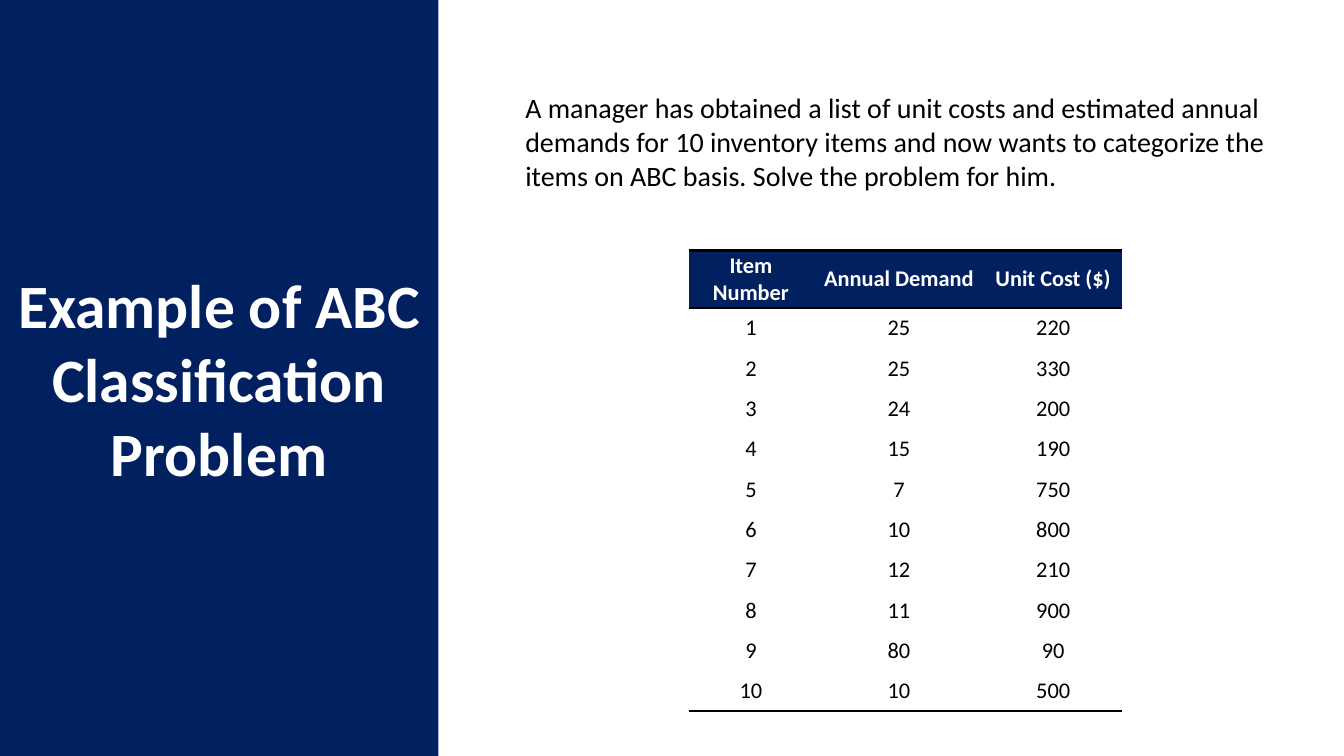
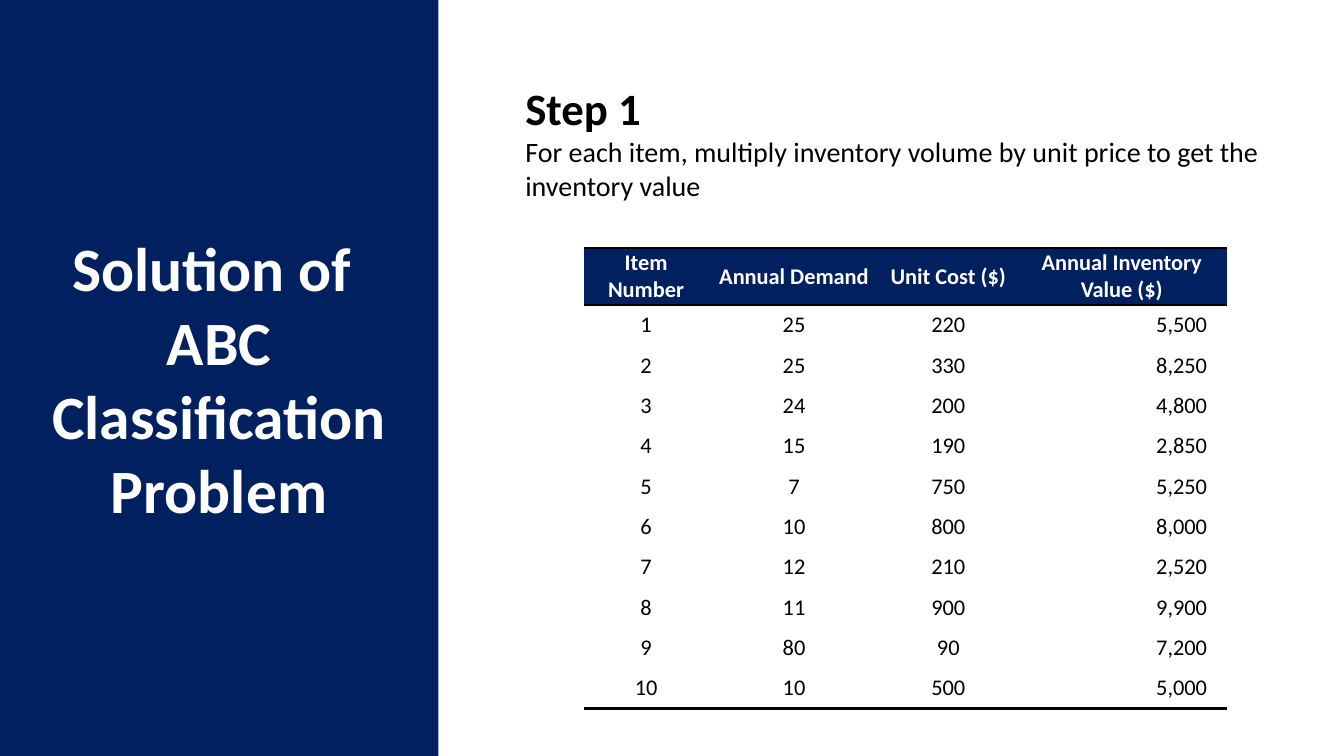
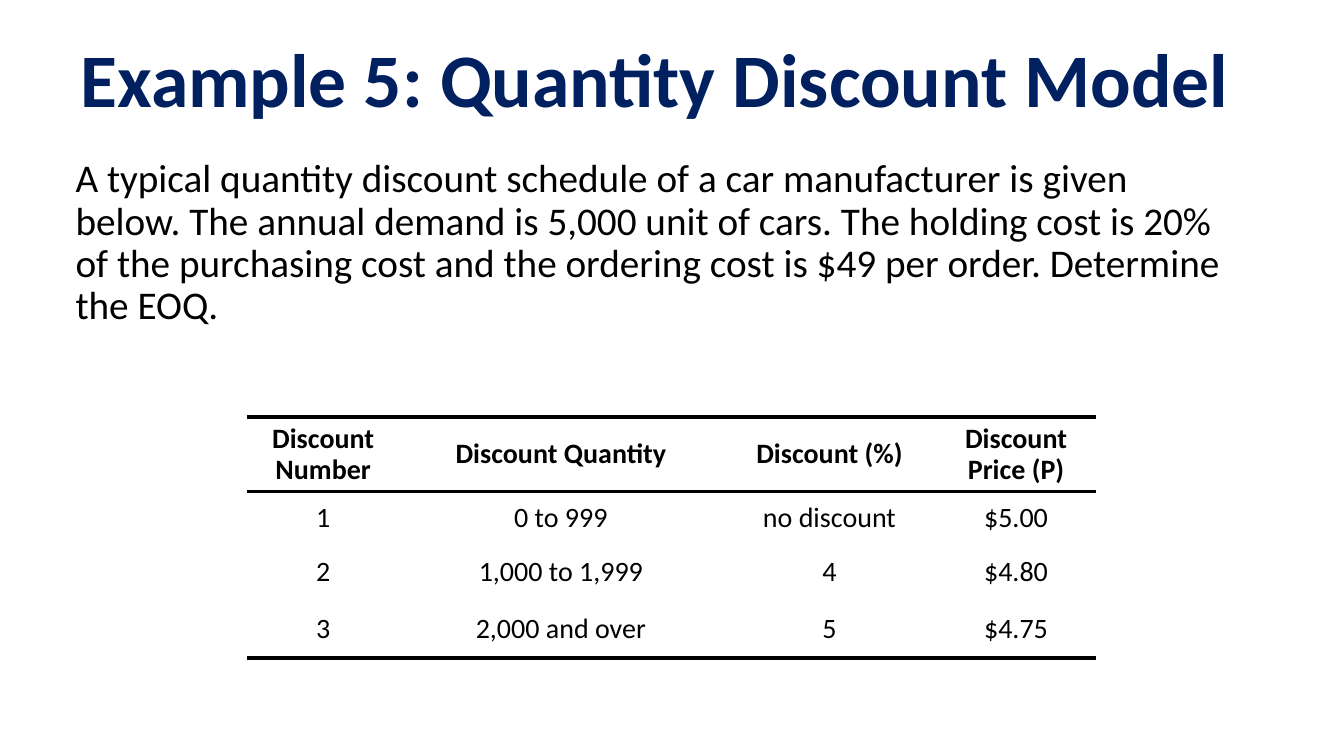
from dataclasses import dataclass

from lxml.etree import SubElement
from pptx import Presentation
from pptx.dml.color import RGBColor
from pptx.enum.text import MSO_ANCHOR, MSO_AUTO_SIZE, PP_ALIGN
from pptx.oxml.ns import qn
from pptx.util import Pt

FONT = "Calibri"
COLORS = {"navy": "002060", "white": "FFFFFF", "black": "000000"}
PLAIN_TABLE_STYLE = "{2D5ABB26-0587-4C30-8999-92F81FD0307C}"
TITLE_AND_CONTENT = 1
SLIDE_WIDTH, SLIDE_HEIGHT = 960, 540
PANEL_WIDTH = 313.2
TABLE_CENTER = 646.6
HEADER_HEIGHT, ITEM_HEIGHT = 41, 28.8
VALUE_INDENT = 14
ITEM_HEADERS = ["Item Number", "Annual Demand", "Unit Cost ($)"]
ITEM_WIDTHS = [89, 122.4, 98]
VALUE_WIDTH = 149.8
ITEMS = [
    (25, 220), (25, 330), (24, 200), (15, 190), (7, 750),
    (10, 800), (12, 210), (11, 900), (80, 90), (10, 500),
]


@dataclass(frozen=True)
class Box:
    left: float
    top: float
    width: float
    height: float


@dataclass(frozen=True)
class Line:
    text: str
    size: float = 20
    bold: bool = False


@dataclass(frozen=True)
class TableStyle:
    size: float
    header_color: str
    header_fill: str | None
    body_fill: str | None
    outer_rule: float
    header_rule: float
    margins: tuple[float, float]
    line_spacing: float


ITEM_STYLE = TableStyle(16, "white", "navy", "white", 2, 2, (1, 0.5), 1)
DISCOUNT_STYLE = TableStyle(20, "black", None, None, 3, 2.25, (7.2, 3.6), 0.9)
CONTENT_BOX = Box(368, 39, 578, 124)


def rgb(name: str) -> RGBColor:
    return RGBColor.from_string(COLORS[name])


def write_text(paragraph, text: str, *, size: float, color: str = "black",
               bold: bool = False, align=PP_ALIGN.LEFT, spacing: float = 1) -> None:
    paragraph.alignment = align
    paragraph.space_before = Pt(0)
    paragraph.line_spacing = spacing
    run = paragraph.add_run()
    run.text = text
    run.font.name = FONT
    run.font.size = Pt(size)
    run.font.bold = bold
    run.font.color.rgb = rgb(color)


def prepare(shape, box: Box, anchor):
    shape.left, shape.top = Pt(box.left), Pt(box.top)
    shape.width, shape.height = Pt(box.width), Pt(box.height)
    frame = shape.text_frame
    frame.word_wrap = True
    frame.auto_size = MSO_AUTO_SIZE.NONE
    frame.vertical_anchor = anchor
    return frame


def fill_paragraphs(frame, count: int) -> list:
    for _ in range(count - 1):
        frame.add_paragraph()
    return list(frame.paragraphs)


def write_title(slide, box: Box, lines: list[str], **style) -> None:
    frame = prepare(slide.shapes.title, box, MSO_ANCHOR.MIDDLE)
    for paragraph, text in zip(fill_paragraphs(frame, len(lines)), lines):
        write_text(paragraph, text, bold=True, **style)


def write_body(slide, box: Box, lines: list[Line], *, anchor=MSO_ANCHOR.MIDDLE,
               spacing: float = 1) -> None:
    frame = prepare(slide.placeholders[1], box, anchor)
    for paragraph, line in zip(fill_paragraphs(frame, len(lines)), lines):
        properties = paragraph._p.get_or_add_pPr()
        properties.set("marL", "0")
        properties.set("indent", "0")
        SubElement(properties, qn("a:buNone"))
        write_text(paragraph, line.text, size=line.size, bold=line.bold, spacing=spacing)


def add_rule(cell, side: str, width: float) -> None:
    rule = SubElement(cell._tc.get_or_add_tcPr(), qn(f"a:{side}"), w=str(Pt(width)))
    SubElement(SubElement(rule, qn("a:solidFill")), qn("a:srgbClr"), val=COLORS["black"])


def add_table(slide, left: float, top: float, widths: list[float], heights: list[float],
              rows: list[list[str]], style: TableStyle, value_column: int | None = None) -> None:
    frame = slide.shapes.add_table(len(rows), len(widths), Pt(left), Pt(top),
                                   Pt(sum(widths)), Pt(sum(heights)))
    table = frame.table
    table.horz_banding = False
    table._tbl.tblPr.find(qn("a:tableStyleId")).text = PLAIN_TABLE_STYLE
    for column, width in zip(table.columns, widths):
        column.width = Pt(width)
    for row, height in zip(table.rows, heights):
        row.height = Pt(height)
    for row_index, texts in enumerate(rows):
        header = row_index == 0
        fill = style.header_fill if header else style.body_fill
        for column_index, text in enumerate(texts):
            cell = table.cell(row_index, column_index)
            is_value = column_index == value_column and not header
            side, vertical = style.margins
            cell.margin_left = Pt(side)
            cell.margin_right = Pt(VALUE_INDENT if is_value else side)
            cell.margin_top = cell.margin_bottom = Pt(vertical)
            cell.vertical_anchor = MSO_ANCHOR.MIDDLE
            if header:
                add_rule(cell, "lnT", style.outer_rule)
                add_rule(cell, "lnB", style.header_rule)
            elif row_index == len(rows) - 1:
                add_rule(cell, "lnB", style.outer_rule)
            if fill:
                cell.fill.solid()
                cell.fill.fore_color.rgb = rgb(fill)
            else:
                cell.fill.background()
            write_text(cell.text_frame.paragraphs[0], text, size=style.size, bold=header,
                       color=style.header_color if header else "black",
                       align=PP_ALIGN.RIGHT if is_value else PP_ALIGN.CENTER,
                       spacing=style.line_spacing)


def add_slide(presentation):
    return presentation.slides.add_slide(presentation.slide_layouts[TITLE_AND_CONTENT])


def add_item_slide(presentation, title: list[str], lines: list[Line], table_top: float,
                   with_value: bool) -> None:
    slide = add_slide(presentation)
    panel = slide.shapes.title
    panel.fill.solid()
    panel.fill.fore_color.rgb = rgb("navy")
    write_title(slide, Box(0, 0, PANEL_WIDTH, SLIDE_HEIGHT), title,
                size=44, color="white", align=PP_ALIGN.CENTER)
    write_body(slide, CONTENT_BOX, lines)
    widths = ITEM_WIDTHS + [VALUE_WIDTH] * with_value
    rows = [ITEM_HEADERS + ["Annual Inventory Value ($)"] * with_value]
    for number, (demand, cost) in enumerate(ITEMS, start=1):
        rows.append([str(number), str(demand), str(cost)] + [f"{demand * cost:,}"] * with_value)
    heights = [HEADER_HEIGHT] + [ITEM_HEIGHT] * len(ITEMS)
    add_table(slide, TABLE_CENTER - sum(widths) / 2, table_top, widths, heights, rows,
              ITEM_STYLE, value_column=len(ITEM_HEADERS))


def add_discount_slide(presentation) -> None:
    slide = add_slide(presentation)
    write_title(slide, Box(50.4, 0, 877, 110), ["Example 5: Quantity Discount Model"],
                size=54, color="navy")
    write_body(slide, Box(46.8, 110, 846.7, 141), [Line(
        "A typical quantity discount schedule of a car manufacturer is given below. "
        "The annual demand is 5,000 unit of cars. The holding cost is 20% of the purchasing "
        "cost and the ordering cost is $49 per order. Determine the EOQ.", size=28)],
        anchor=MSO_ANCHOR.TOP, spacing=0.9)
    rows = [
        ["Discount Number", "Discount Quantity", "Discount (%)", "Discount Price (P)"],
        ["1", "0 to 999", "no discount", "$5.00"],
        ["2", "1,000 to 1,999", "4", "$4.80"],
        ["3", "2,000 and over", "5", "$4.75"],
    ]
    add_table(slide, 176.5, 298, [108.7, 231, 152.6, 114], [53.2, 38.2, 39, 41.8],
              rows, DISCOUNT_STYLE)


def main() -> None:
    presentation = Presentation()
    presentation.slide_width, presentation.slide_height = Pt(SLIDE_WIDTH), Pt(SLIDE_HEIGHT)
    add_item_slide(presentation, ["Example of ABC Classification Problem"], [Line(
        "A manager has obtained a list of unit costs and estimated annual demands for 10 "
        "inventory items and now wants to categorize the items on ABC basis. "
        "Solve the problem for him.")], 179, with_value=False)
    add_item_slide(presentation, ["Solution of ", "ABC Classification Problem"], [
        Line("Step 1", size=32, bold=True),
        Line("For each item, multiply inventory volume by unit price to get the inventory value"),
    ], 177, with_value=True)
    add_discount_slide(presentation)
    presentation.save("out.pptx")


if __name__ == "__main__":
    main()
